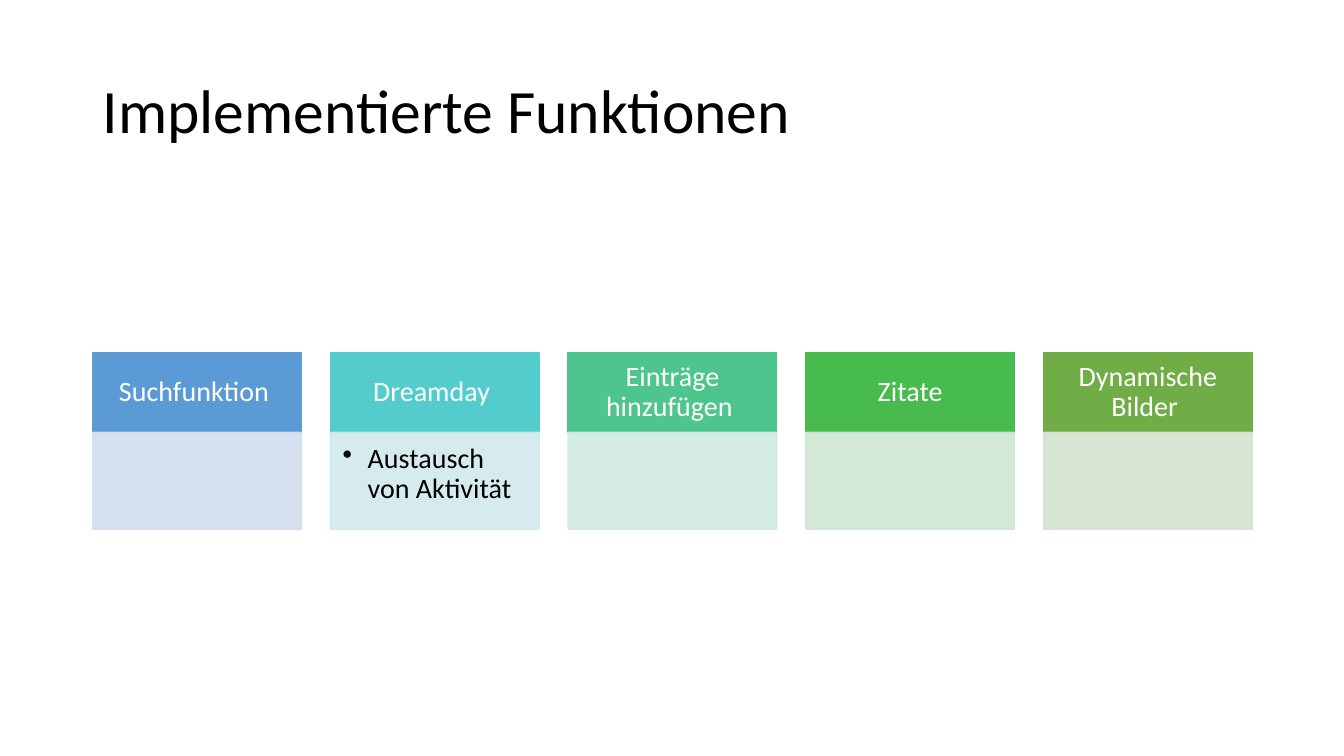
"""Build a slide showing the implemented functions as a row of five cards."""
from lxml import etree
from pptx import Presentation
from pptx.dml.color import RGBColor
from pptx.enum.shapes import MSO_SHAPE
from pptx.enum.text import MSO_ANCHOR, MSO_AUTO_SIZE, PP_ALIGN
from pptx.oxml.ns import qn
from pptx.util import Inches, Pt

RECTANGLE = MSO_SHAPE.RECTANGLE
TOP, MIDDLE = MSO_ANCHOR.TOP, MSO_ANCHOR.MIDDLE
LEFT, CENTER = PP_ALIGN.LEFT, PP_ALIGN.CENTER
NO_AUTOFIT = MSO_AUTO_SIZE.NONE

BLACK = RGBColor(0x00, 0x00, 0x00)
WHITE = RGBColor(0xFF, 0xFF, 0xFF)
BLUE, PALE_BLUE = RGBColor(0x5B, 0x9B, 0xD5), RGBColor(0xD2, 0xDE, 0xEF)
TURQUOISE, PALE_TURQUOISE = RGBColor(0x54, 0xCC, 0xCD), RGBColor(0xD1, 0xE9, 0xED)
MINT, PALE_MINT = RGBColor(0x4D, 0xC5, 0x8D), RGBColor(0xD0, 0xEA, 0xE1)
GREEN, PALE_GREEN = RGBColor(0x48, 0xBB, 0x4F), RGBColor(0xD0, 0xE6, 0xD4)
OLIVE, PALE_OLIVE = RGBColor(0x70, 0xAD, 0x47), RGBColor(0xD5, 0xE3, 0xCF)

FUNCTIONS = [
    ("Suchfunktion ", "", BLUE, PALE_BLUE),
    ("Dreamday ", "Austausch von Aktivität", TURQUOISE, PALE_TURQUOISE),
    ("Einträge hinzufügen ", "", MINT, PALE_MINT),
    ("Zitate", "", GREEN, PALE_GREEN),
    ("Dynamische Bilder ", "", OLIVE, PALE_OLIVE),
]

SLIDE_WIDTH, SLIDE_HEIGHT = 13.33, 7.5
MARGIN, CONTENT_WIDTH = 0.92, 11.5
CARD_WIDTH = 2.07
CARD_PITCH = (CONTENT_WIDTH - CARD_WIDTH) / (len(FUNCTIONS) - 1)
HEADER_TOP, HEADER_HEIGHT, BODY_HEIGHT = 3.5, 0.79, 0.96
HEADER_INSETS = (0.16, 0.09, 0.16, 0.09)
BODY_INSETS = (0.12, 0.12, 0.16, 0.17)


class FunctionSlide:
    """Hold the text style and the slide, and draw its elements."""

    font_name = "Calibri"
    title_size, card_size = Pt(44), Pt(20)
    line_spacing = 0.9

    def __init__(self, slide):
        """Keep the slide and open a group for the cards."""
        self.slide = slide
        self.cards = slide.shapes.add_group_shape().shapes

    def label(self, frame, text, size, color, align, anchor):
        """Put one styled paragraph into a text frame."""
        frame.word_wrap = True
        frame.auto_size = NO_AUTOFIT
        frame.vertical_anchor = anchor
        frame.text = text
        paragraph = frame.paragraphs[0]
        paragraph.alignment = align
        paragraph.line_spacing = self.line_spacing
        paragraph.font.name = self.font_name
        paragraph.font.size = size
        paragraph.font.color.rgb = color
        return paragraph

    def title(self, text):
        """Fill and place the title placeholder."""
        heading = self.slide.shapes.title
        heading.left, heading.top = Inches(MARGIN), Inches(0.4)
        heading.width, heading.height = Inches(CONTENT_WIDTH), Inches(1.45)
        self.label(heading.text_frame, text, self.title_size, BLACK, LEFT, MIDDLE)

    def panel(self, column, top, height, color, insets):
        """Draw a rectangle in a grid column."""
        panel = self.cards.add_shape(
            RECTANGLE, Inches(MARGIN + column * CARD_PITCH), Inches(top),
            Inches(CARD_WIDTH), Inches(height))
        panel.shadow.inherit = False
        panel.fill.solid()
        panel.fill.fore_color.rgb = color
        panel.line.color.rgb = color
        panel.line.width = Pt(1)
        frame = panel.text_frame
        (frame.margin_left, frame.margin_top,
         frame.margin_right, frame.margin_bottom) = map(Inches, insets)
        return panel

    def header(self, column, text, color):
        """Draw the coloured head of a card."""
        head = self.panel(column, HEADER_TOP, HEADER_HEIGHT, color, HEADER_INSETS)
        self.label(head.text_frame, text, self.card_size, WHITE, CENTER, MIDDLE)

    def body(self, column, text, color):
        """Draw the translucent lower part of a card, with its bullet if any."""
        body = self.panel(column, HEADER_TOP + HEADER_HEIGHT, BODY_HEIGHT,
                          color, BODY_INSETS)
        for shade in body.element.spPr.iter(qn("a:srgbClr")):
            etree.SubElement(shade, qn("a:alpha"), val="90000")
        if text:
            paragraph = self.label(body.text_frame, text, self.card_size,
                                   BLACK, LEFT, TOP)
            self.bullet(paragraph)

    def bullet(self, paragraph):
        """Give a paragraph a round bullet with a hanging indent."""
        paragraph.level = 1
        properties = paragraph._p.get_or_add_pPr()
        properties.set("marL", str(Inches(0.25)))
        properties.set("indent", str(-Inches(0.25)))
        mark = etree.Element(qn("a:buChar"), char="•")
        properties.find(qn("a:defRPr")).addprevious(mark)


presentation = Presentation()
presentation.slide_width = Inches(SLIDE_WIDTH)
presentation.slide_height = Inches(SLIDE_HEIGHT)
title_only = presentation.slide_layouts[5]
overview = FunctionSlide(presentation.slides.add_slide(title_only))
overview.title("Implementierte Funktionen")
for column, (name, detail, strong, pale) in enumerate(FUNCTIONS):
    overview.header(column, name, strong)
    overview.body(column, detail, pale)
presentation.save("out.pptx")
